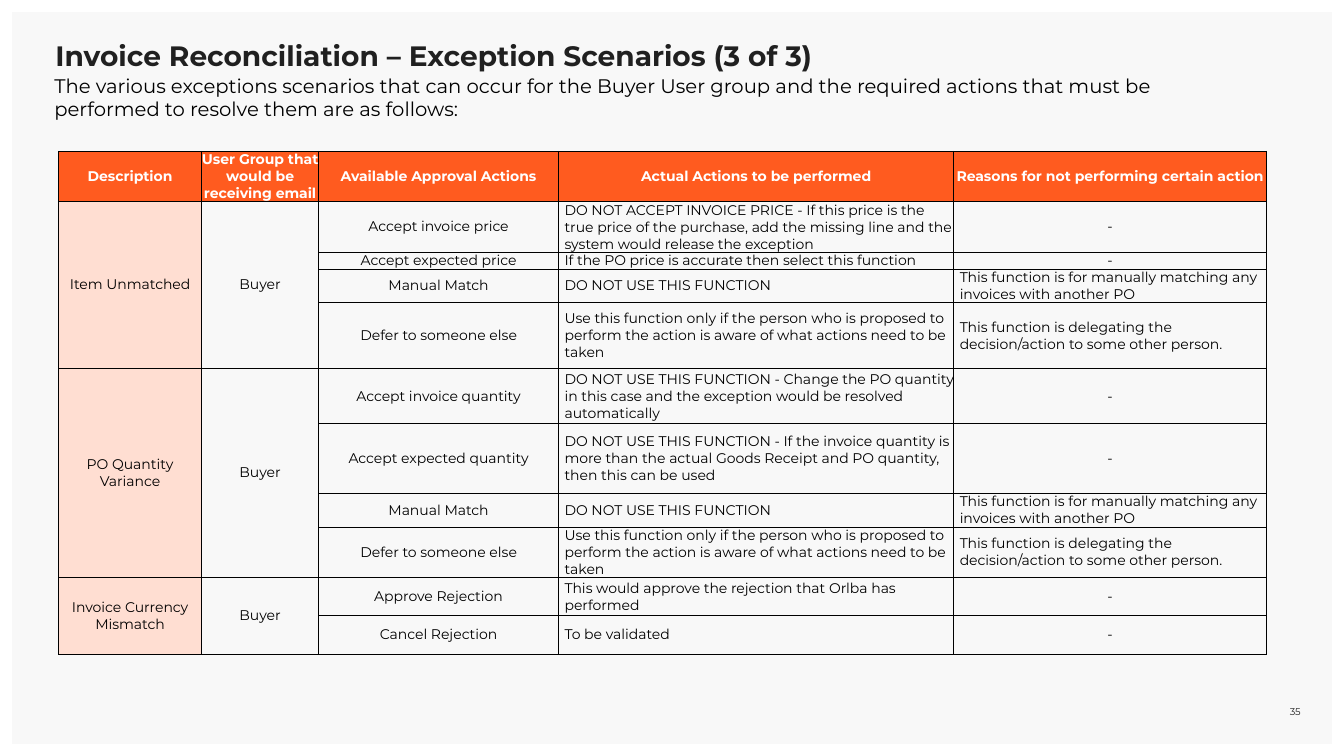
from lxml import etree
from pptx import Presentation
from pptx.dml.color import RGBColor
from pptx.enum import shapes, text
from pptx.oxml.ns import qn
from pptx.util import Inches, Pt

FONT = "Montserrat"
TITLE = "Invoice Reconciliation – Exception Scenarios (3 of 3)"
INTRO = ("The various exceptions scenarios that can occur for the Buyer User group and the "
         "required actions that must be performed to resolve them are as follows:")
PAGE_NUMBER = "35"

HEADERS = ["Description", "User Group that would be receiving email", "Available Approval Actions",
           "Actual Actions to be performed", "Reasons for not performing certain action"]
MANUAL_MATCH = ("Manual Match", "DO NOT USE THIS FUNCTION",
                "This function is for manually matching any invoices with another PO")
DEFER = ("Defer to someone else",
         "Use this function only if the person who is proposed to perform the action is aware of "
         "what actions need to be taken",
         "This function is delegating the decision/action to some other person.")
SCENARIOS = [
    ("Item Unmatched", "Buyer", [
        ("Accept invoice price",
         "DO NOT ACCEPT INVOICE PRICE - If this price is the true price of the purchase, add the "
         "missing line and the system would release the exception", "-"),
        ("Accept expected price", "If the PO price is accurate then select this function", "-"),
        MANUAL_MATCH,
        DEFER,
    ]),
    ("PO Quantity Variance", "Buyer", [
        ("Accept invoice quantity",
         "DO NOT USE THIS FUNCTION - Change the PO quantity in this case and the exception would "
         "be resolved automatically", "-"),
        ("Accept expected quantity",
         "DO NOT USE THIS FUNCTION - If the invoice quantity is more than the actual Goods Receipt "
         "and PO quantity, then this can be used", "-"),
        MANUAL_MATCH,
        DEFER,
    ]),
    ("Invoice Currency Mismatch", "Buyer", [
        ("Approve Rejection", "This would approve the rejection that Orlba has performed", "-"),
        ("Cancel Rejection", "To be validated", "-"),
    ]),
]
COLUMN_WIDTHS = [1.42, 1.16, 2.38, 3.92, 3.1]
ROW_HEIGHTS = [0.41, 0.41, 0.12, 0.26, 0.65, 0.55, 0.69, 0.26, 0.38, 0.38, 0.38]
MARGINS = ("margin_left", "margin_top", "margin_right", "margin_bottom")


def color(value):
    return RGBColor.from_string(value)


def set_all(target, values):
    for name, value in values.items():
        setattr(target, name, value)


def write(paragraph, content, size, ink, bold=False, **layout):
    paragraph.text = content
    set_all(paragraph, layout)
    font = paragraph.runs[0].font
    set_all(font, {"name": FONT, "size": Pt(size), "bold": bold})
    font.color.rgb = color(ink)


def add_text(slide, box, content, size, ink, frame_format, **style):
    frame = slide.shapes.add_textbox(*map(Inches, box)).text_frame
    set_all(frame, {"word_wrap": True, **frame_format})
    write(frame.paragraphs[0], content, size, ink, **style)


def add_borders(cell):
    properties = cell._tc.get_or_add_tcPr()
    for index, side in enumerate(("lnL", "lnR", "lnT", "lnB")):
        line = etree.Element(qn(f"a:{side}"), w=str(Pt(0.5)))
        fill = etree.SubElement(line, qn("a:solidFill"))
        etree.SubElement(fill, qn("a:srgbClr"), val="000000")
        properties.insert(index, line)


def fill_cell(cell, content, fill=None, ink="000000", bold=False, centered=True):
    set_all(cell, {**dict.fromkeys(MARGINS, 0), "vertical_anchor": text.MSO_ANCHOR.MIDDLE})
    if fill:
        cell.fill.solid()
        cell.fill.fore_color.rgb = color(fill)
    else:
        cell.fill.background()
    paragraph = cell.text_frame.paragraphs[0]
    if content:
        alignment = text.PP_ALIGN.CENTER if centered else text.PP_ALIGN.LEFT
        write(paragraph, content, 10, ink, bold, alignment=alignment)
    if not centered:
        paragraph._p.get_or_add_pPr().set("marL", str(Inches(0.06)))
    add_borders(cell)


def add_scenario_table(slide):
    frame = slide.shapes.add_table(len(ROW_HEIGHTS), len(COLUMN_WIDTHS), Inches(0.58), Inches(1.5),
                                   Inches(11.97), Inches(4.86))
    table = frame.table
    for column, width in zip(table.columns, COLUMN_WIDTHS):
        column.width = Inches(width)
    for row, height in zip(table.rows, ROW_HEIGHTS):
        row.height = Inches(height)
    frame.height = Inches(4.86)

    for column, header in enumerate(HEADERS):
        fill_cell(table.cell(0, column), header, "FF5B1F", "FFFFFF", bold=True)
    first = 1
    for description, group, actions in SCENARIOS:
        last = first + len(actions) - 1
        for offset, action in enumerate(actions):
            names = (description, group) if offset == 0 else ("", "")
            for column, content in enumerate(names + action):
                fill_cell(table.cell(first + offset, column), content,
                          fill="FFDED2" if column == 0 else None,
                          centered=column < 3 or content == "-")
        for column in (0, 1):
            table.cell(first, column).merge(table.cell(last, column))
        first = last + 1


def main():
    presentation = Presentation()
    set_all(presentation, {"slide_width": Inches(13.33), "slide_height": Inches(7.5)})
    slide = presentation.slides.add_slide(presentation.slide_layouts[6])

    panel = slide.shapes.add_shape(shapes.MSO_SHAPE.RECTANGLE,
                                   *map(Inches, (0.12, 0.12, 13.09, 7.26)))
    panel.shadow.inherit = False
    panel.fill.solid()
    panel.fill.fore_color.rgb = color("F8F8F8")
    panel.line.fill.background()

    no_margins = dict.fromkeys(MARGINS, 0)
    add_text(slide, (0.55, 0.35, 12.24, 0.37), TITLE, 20, "202020",
             {**no_margins, "vertical_anchor": text.MSO_ANCHOR.BOTTOM},
             bold=True, line_spacing=1.1)
    add_text(slide, (12.61, 6.98, 0.29, 0.15), PAGE_NUMBER, 7, "202020",
             {**no_margins, "vertical_anchor": text.MSO_ANCHOR.MIDDLE},
             alignment=text.PP_ALIGN.RIGHT)
    add_scenario_table(slide)
    add_text(slide, (0.44, 0.7, 12.11, 0.55), INTRO, 14, "000000",
             {"auto_size": text.MSO_AUTO_SIZE.SHAPE_TO_FIT_TEXT},
             line_spacing=0.96, space_after=Pt(2.2))
    presentation.save("out.pptx")


if __name__ == "__main__":
    main()
